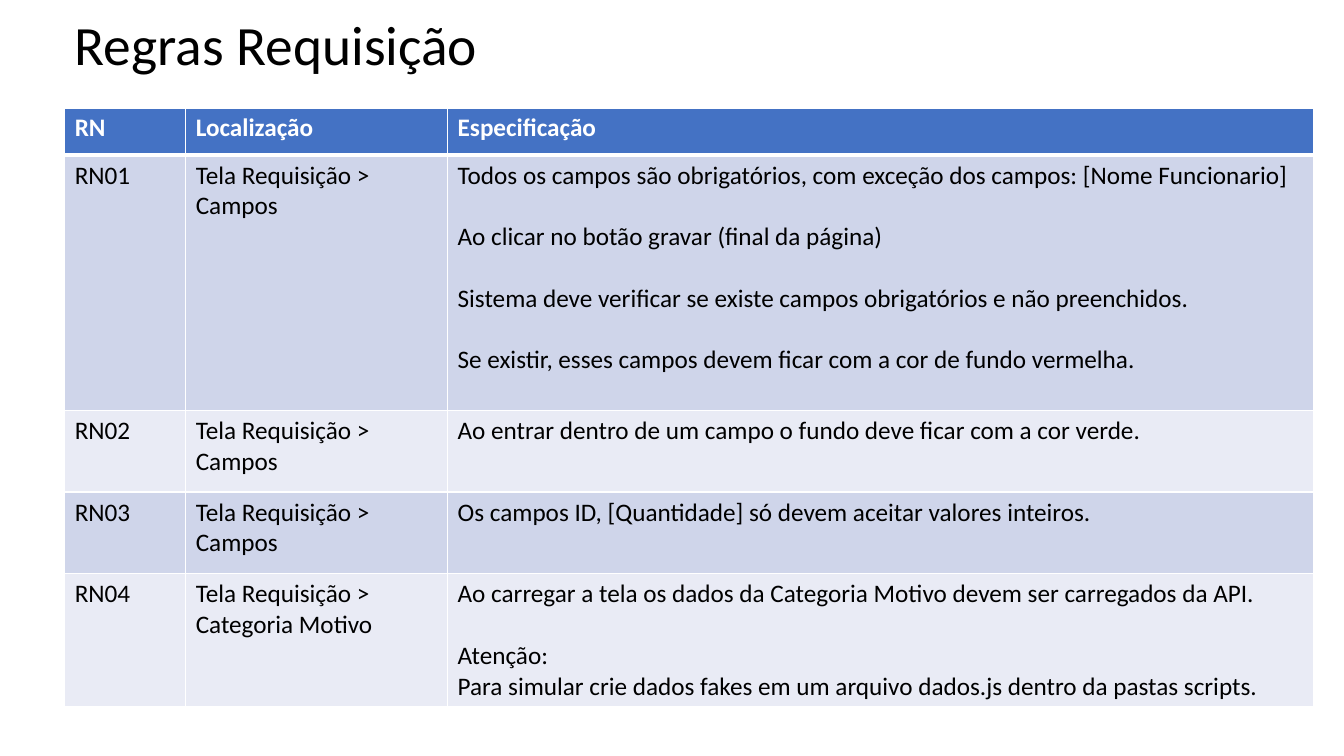
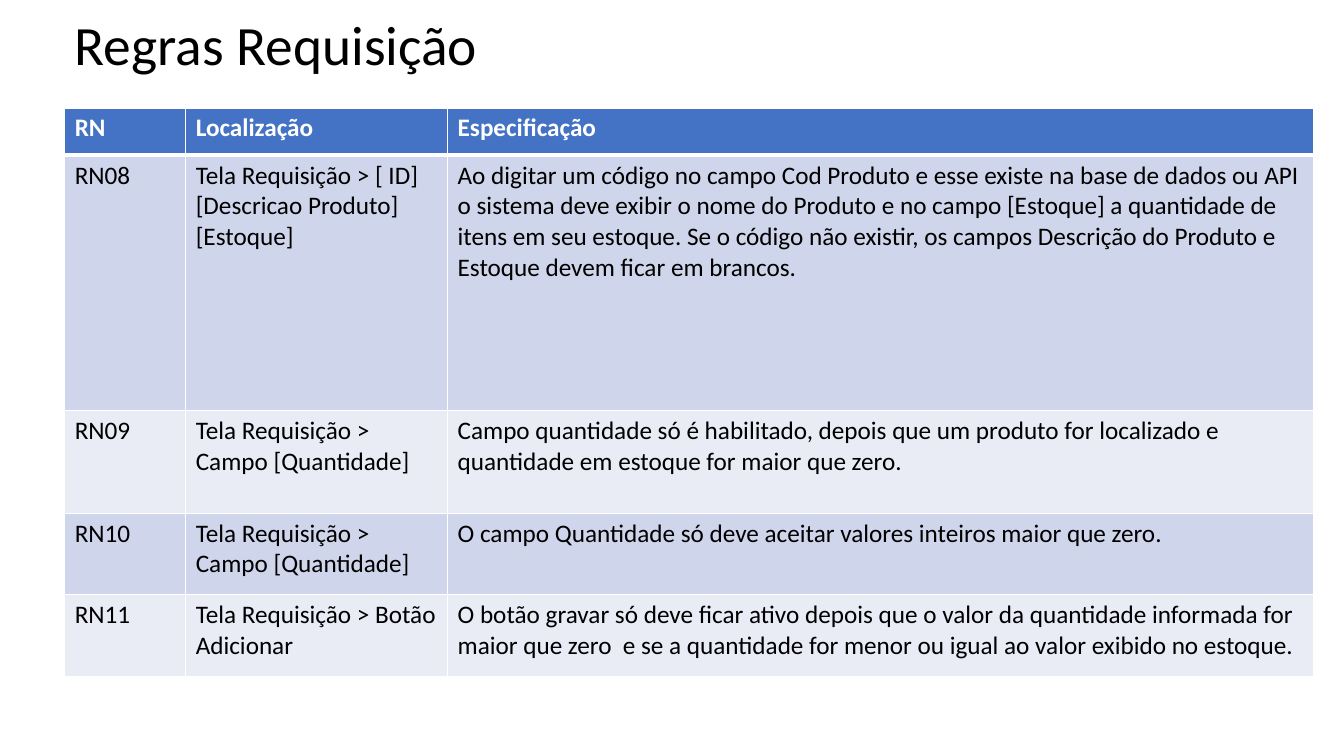
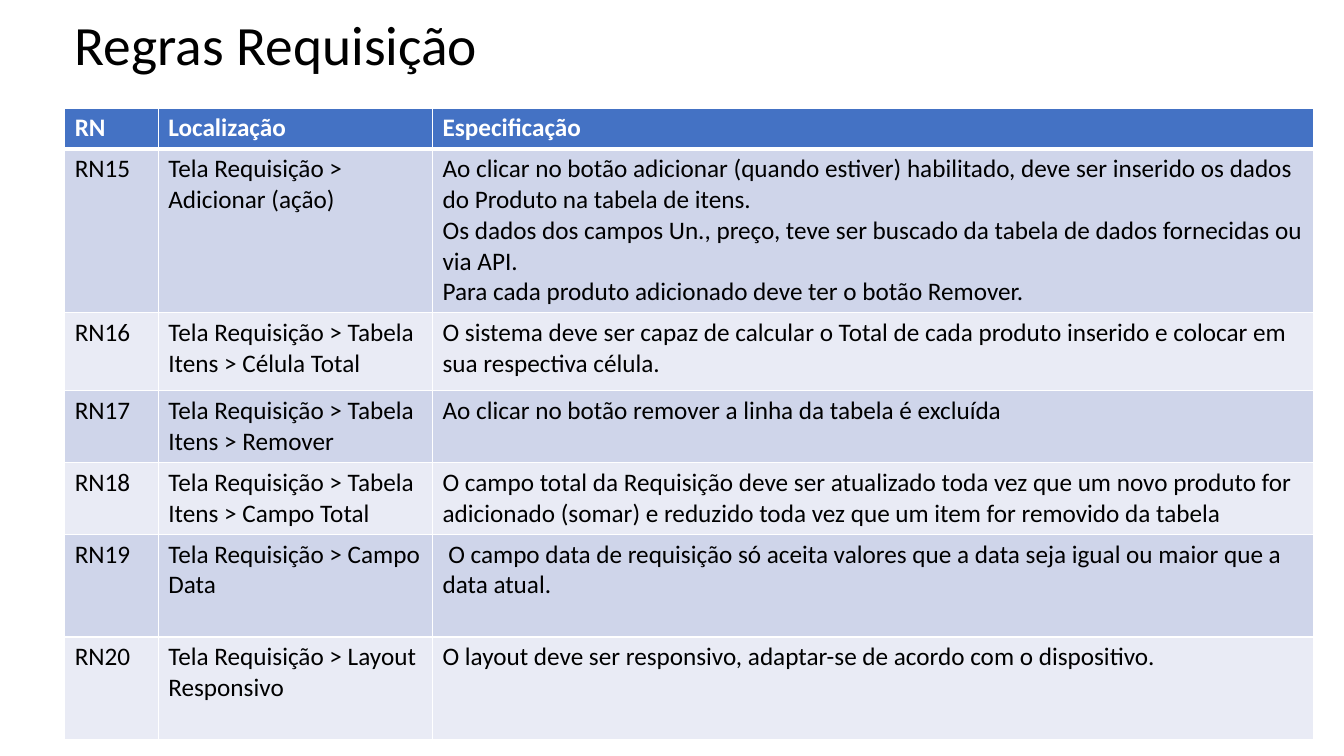
from itertools import product

from lxml import etree
from pptx import Presentation
from pptx.dml.color import RGBColor
from pptx.enum import text
from pptx.oxml import ns
from pptx.util import Cm, Pt


class Theme:
    font = "Calibri"
    ink = RGBColor.from_string("000000")
    white = RGBColor.from_string("FFFFFF")
    head = RGBColor.from_string("4472C4")
    bands = [RGBColor.from_string("CFD5EA"), RGBColor.from_string("E9EBF5")]
    title = Pt(39.6)
    body = Pt(18)
    gap = Pt(22)
    thin = Pt(1)
    thick = Pt(3)


TITLE = "Regras Requisição"
HEADS = ("RN", "Localização", ["Especificação"])
LEFT, TOP, WIDTH = 1.63, 2.72, 31.47

# Each slide: widths of the first two columns, row heights, rule rows (cm).
# A specification is a list of blocks set apart by a gap.
SLIDES = [
    ((3.05, 6.6), (1.19, 6.43, 2.06, 2.06, 3.35), [
        ("RN01", "Tela Requisição > Campos", [
            "Todos os campos são obrigatórios, com exceção dos campos: [Nome Funcionario]",
            "Ao clicar no botão gravar (final da página)",
            "Sistema deve verificar se existe campos obrigatórios e não preenchidos.",
            "Se existir, esses campos devem ficar com a cor de fundo vermelha."]),
        ("RN02", "Tela Requisição > Campos", [
            "Ao entrar dentro de um campo o fundo deve ficar com a cor verde."]),
        ("RN03", "Tela Requisição > Campos", [
            "Os campos ID, [Quantidade] só devem aceitar valores inteiros."]),
        ("RN04", "Tela Requisição > Categoria Motivo", [
            "Ao carregar a tela os dados da Categoria Motivo devem ser carregados da API.",
            "Atenção:\n"
            "Para simular crie dados fakes em um arquivo dados.js dentro da pastas scripts."]),
    ]),
    ((3.05, 6.6), (1.19, 6.43, 2.59, 2.06, 2.06), [
        ("RN08", "Tela Requisição > [ ID] [Descricao Produto] [Estoque]", [
            "Ao digitar um código no campo Cod Produto e esse existe na base de dados ou API "
            "o sistema deve exibir o nome do Produto e no campo [Estoque] a quantidade de "
            "itens em seu estoque. Se o código não existir, os campos Descrição do Produto e "
            "Estoque devem ficar em brancos."]),
        ("RN09", "Tela Requisição > Campo [Quantidade]", [
            "Campo quantidade só é habilitado, depois que um produto for localizado e "
            "quantidade em estoque for maior que zero."]),
        ("RN10", "Tela Requisição > Campo [Quantidade]", [
            "O campo Quantidade só deve aceitar valores inteiros maior que zero."]),
        ("RN11", "Tela Requisição > Botão Adicionar", [
            "O botão gravar só deve ficar ativo depois que o valor da quantidade informada for "
            "maior que zero  e se a quantidade for menor ou igual ao valor exibido no estoque."]),
    ]),
    ((2.36, 6.91), (1.02, 4.13, 1.96, 1.81, 1.81, 2.59, 2.59), [
        ("RN15", "Tela Requisição > Adicionar (ação)", [
            "Ao clicar no botão adicionar (quando estiver) habilitado, deve ser inserido os "
            "dados do Produto na tabela de itens.\n"
            "Os dados dos campos Un., preço, teve ser buscado da tabela de dados fornecidas ou "
            "via API.\n"
            "Para cada produto adicionado deve ter o botão Remover."]),
        ("RN16", "Tela Requisição > Tabela Itens > Célula Total", [
            "O sistema deve ser capaz de calcular o Total de cada produto inserido e colocar em "
            "sua respectiva célula."]),
        ("RN17", "Tela Requisição > Tabela Itens > Remover", [
            "Ao clicar no botão remover a linha da tabela é excluída"]),
        ("RN18", "Tela Requisição > Tabela Itens > Campo Total", [
            "O campo total da Requisição deve ser atualizado toda vez que um novo produto for "
            "adicionado (somar) e reduzido toda vez que um item for removido da tabela"]),
        ("RN19", "Tela Requisição > Campo Data", [
            " O campo data de requisição só aceita valores que a data seja igual ou maior que a "
            "data atual."]),
        ("RN20", "Tela Requisição > Layout Responsivo", [
            "O layout deve ser responsivo, adaptar-se de acordo com o dispositivo."]),
    ]),
]


def write(para, words, size, color, bold=False):
    run = para.add_run()
    run.text = words
    font = run.font
    font.name, font.size, font.bold = Theme.font, size, bold
    font.color.rgb = color


def edge(cell, row):
    """Draw white borders, thick between the heading and the first rule."""
    props = cell._tc.get_or_add_tcPr()
    for spot, side in enumerate(("lnL", "lnR", "lnT", "lnB")):
        thick = (row, side) in ((0, "lnB"), (1, "lnT"))
        line = etree.Element(ns.qn("a:" + side), w=str(Theme.thick if thick else Theme.thin))
        fill = etree.SubElement(line, ns.qn("a:solidFill"))
        etree.SubElement(fill, ns.qn("a:srgbClr"), val=str(Theme.white))
        props.insert(spot, line)


deck = Presentation()
deck.slide_width, deck.slide_height = Cm(33.87), Cm(19.05)

for lead, heights, rules in SLIDES:
    slide = deck.slides.add_slide(deck.slide_layouts[5])

    # Title
    title = slide.shapes.title
    title.left, title.top, title.width, title.height = Cm(LEFT), Cm(0.48), Cm(29.21), Cm(1.42)
    frame = title.text_frame
    frame.word_wrap = True
    frame.auto_size = text.MSO_AUTO_SIZE.NONE
    frame.vertical_anchor = text.MSO_ANCHOR.MIDDLE
    para = frame.paragraphs[0]
    para.alignment = text.PP_ALIGN.LEFT
    para.line_spacing = 0.9
    write(para, TITLE, Theme.title, Theme.ink)

    # Table grid
    rows = [HEADS] + rules
    widths = (*lead, WIDTH - sum(lead))
    table = slide.shapes.add_table(
        len(rows), len(widths), Cm(LEFT), Cm(TOP), Cm(WIDTH), Cm(sum(heights))).table
    table.horz_banding = False
    for col, width in zip(table.columns, widths):
        col.width = Cm(width)
    for line, height in zip(table.rows, heights):
        line.height = Cm(height)

    # Cells
    for r, c in product(range(len(rows)), range(len(widths))):
        cell = table.cell(r, c)
        cell.fill.solid()
        cell.fill.fore_color.rgb = Theme.bands[(r - 1) % 2] if r else Theme.head
        edge(cell, r)
        blocks = rows[r][c] if c == 2 else [rows[r][c]]
        para = cell.text_frame.paragraphs[0]
        for b, block in enumerate(blocks):
            for n, words in enumerate(block.split("\n")):
                if b or n:
                    para = cell.text_frame.add_paragraph()
                if b and not n:
                    para.space_before = Theme.gap
                write(para, words, Theme.body, Theme.ink if r else Theme.white, r == 0)

deck.save("out.pptx")
